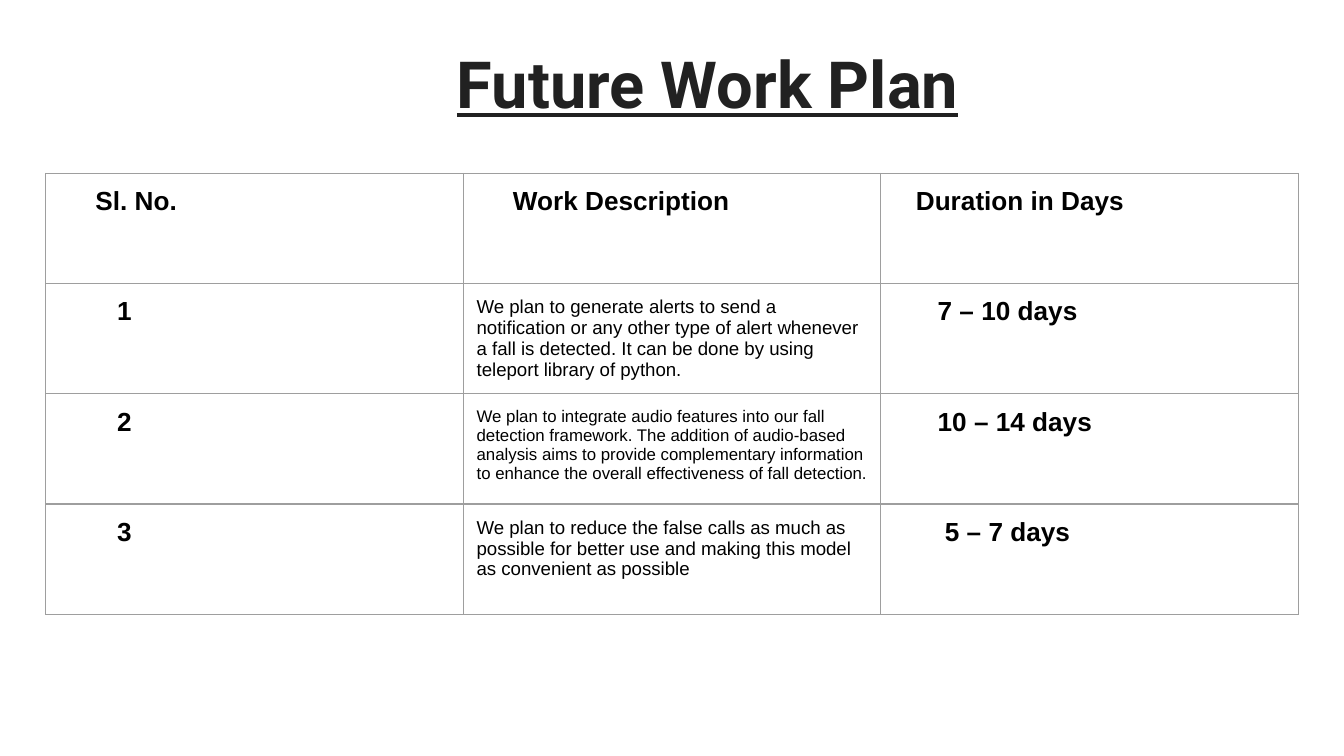
from dataclasses import dataclass

from lxml.etree import SubElement
from pptx import Presentation
from pptx.dml.color import RGBColor
from pptx.enum.text import MSO_ANCHOR, MSO_AUTO_SIZE, PP_ALIGN
from pptx.oxml.ns import qn
from pptx.util import Inches, Pt


@dataclass(frozen=True)
class Theme:
    """Colours, fonts, type sizes and spacing of the slide."""
    title_font: str = "Roboto"
    body_font: str = "Arial"
    title_color: str = "212121"
    text_color: str = "000000"
    border_color: str = "9E9E9E"
    title_size: float = 34.8
    label_size: float = 14
    border_width: float = 0.75
    inset: float = 0.1
    indent_points: float = 3.89


@dataclass(frozen=True)
class Entry:
    """Text of one table cell with its indent steps and type."""
    text: str
    indent: int = 0
    size: float = Theme.label_size
    bold: bool = True


@dataclass(frozen=True)
class Box:
    """Area on the slide in inches."""
    left: float
    top: float
    width: float
    height: float

    def lengths(self):
        """Return the four lengths in slide units."""
        return [Inches(n) for n in (self.left, self.top, self.width, self.height)]


THEME = Theme()
WIDTH = 10
HEIGHT = WIDTH * 9 / 16
TITLE_BOX = Box(0.33 * WIDTH, 0.04 * HEIGHT, 0.93 * WIDTH, 0.16 * HEIGHT)
TABLE_BOX = Box(0.34, 1.29, 9.32, 3.28)

PLAN = [
    [Entry("Sl. No.", 5), Entry("Work Description", 5), Entry("Duration in Days", 3)],
    [
        Entry("1", 8),
        Entry("We plan to generate alerts to send a notification or any other type of "
              "alert whenever a fall is detected. It can be done by using teleport "
              "library of python.", size=10, bold=False),
        Entry("7 – 10 days", 6),
    ],
    [
        Entry("2", 8),
        Entry("We plan to integrate audio features into our fall detection framework. "
              "The addition of audio-based analysis aims to provide complementary "
              "information to enhance the overall effectiveness of fall detection.",
              size=9, bold=False),
        Entry("10 – 14 days", 6),
    ],
    [
        Entry("3", 8),
        Entry("We plan to reduce the false calls as much as possible for better use and "
              "making this model as convenient as possible", size=10, bold=False),
        Entry("5 – 7 days", 7),
    ],
]


def style_font(font, name, size, color, bold):
    """Apply typeface, size, colour and weight."""
    font.name, font.size, font.bold = name, Pt(size), bold
    font.color.rgb = RGBColor.from_string(color)


def place_title(page, box, text):
    """Place and format the title placeholder."""
    title = page.shapes.title
    title.left, title.top, title.width, title.height = box.lengths()
    frame = title.text_frame
    frame.text = text
    frame.word_wrap = True
    frame.auto_size = MSO_AUTO_SIZE.NONE
    frame.vertical_anchor = MSO_ANCHOR.TOP
    frame.margin_left = frame.margin_right = Inches(THEME.inset)
    frame.margin_top = frame.margin_bottom = Inches(THEME.inset)
    para = frame.paragraphs[0]
    para.alignment = PP_ALIGN.LEFT
    style_font(para.font, THEME.title_font, THEME.title_size, THEME.title_color, True)
    para.font.underline = True


def draw_borders(cell):
    """Give a cell a thin line on all four sides."""
    properties = cell._tc.get_or_add_tcPr()
    for position, side in enumerate(("lnL", "lnR", "lnT", "lnB")):
        line = SubElement(properties, qn(f"a:{side}"), w=str(Pt(THEME.border_width)))
        properties.insert(position, line)
        fill = SubElement(line, qn("a:solidFill"))
        SubElement(fill, qn("a:srgbClr"), val=THEME.border_color)


def fill_cell(cell, entry):
    """Write one entry into a cell and format it."""
    cell.text = entry.text
    cell.fill.background()
    cell.margin_left = Inches(THEME.inset) + Pt(entry.indent * THEME.indent_points)
    cell.margin_right = cell.margin_top = cell.margin_bottom = Inches(THEME.inset)
    style_font(cell.text_frame.paragraphs[0].font, THEME.body_font, entry.size,
               THEME.text_color, entry.bold)
    draw_borders(cell)


def place_table(page, box, rows):
    """Place a table of equal rows and columns in the box."""
    table = page.shapes.add_table(len(rows), len(rows[0]), *box.lengths()).table
    table.first_row = table.horz_banding = False
    for row_index, row in enumerate(rows):
        for column_index, entry in enumerate(row):
            fill_cell(table.cell(row_index, column_index), entry)


def main():
    """Build and save the work plan slide."""
    deck = Presentation()
    deck.slide_width, deck.slide_height = Inches(WIDTH), Inches(HEIGHT)
    page = deck.slides.add_slide(deck.slide_layouts[5])
    place_title(page, TITLE_BOX, "Future Work Plan")
    place_table(page, TABLE_BOX, PLAN)
    deck.save("out.pptx")


if __name__ == "__main__":
    main()
